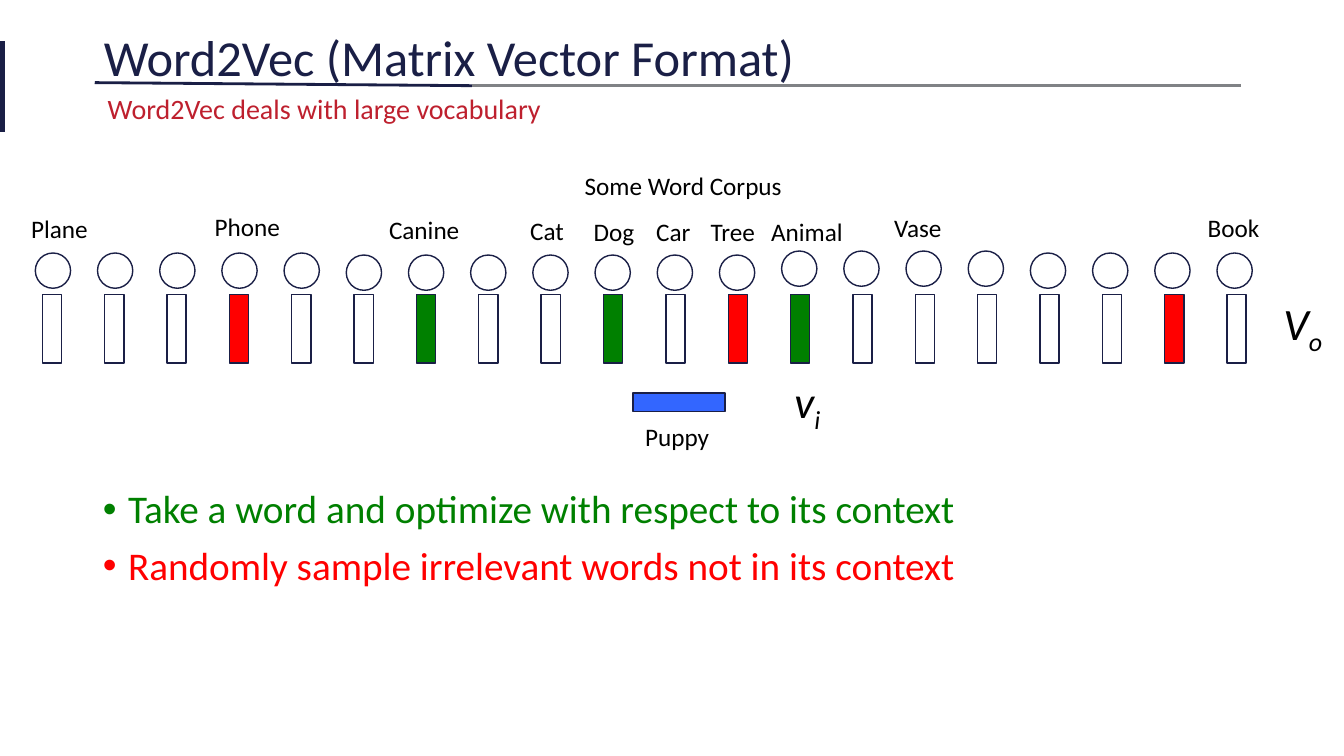
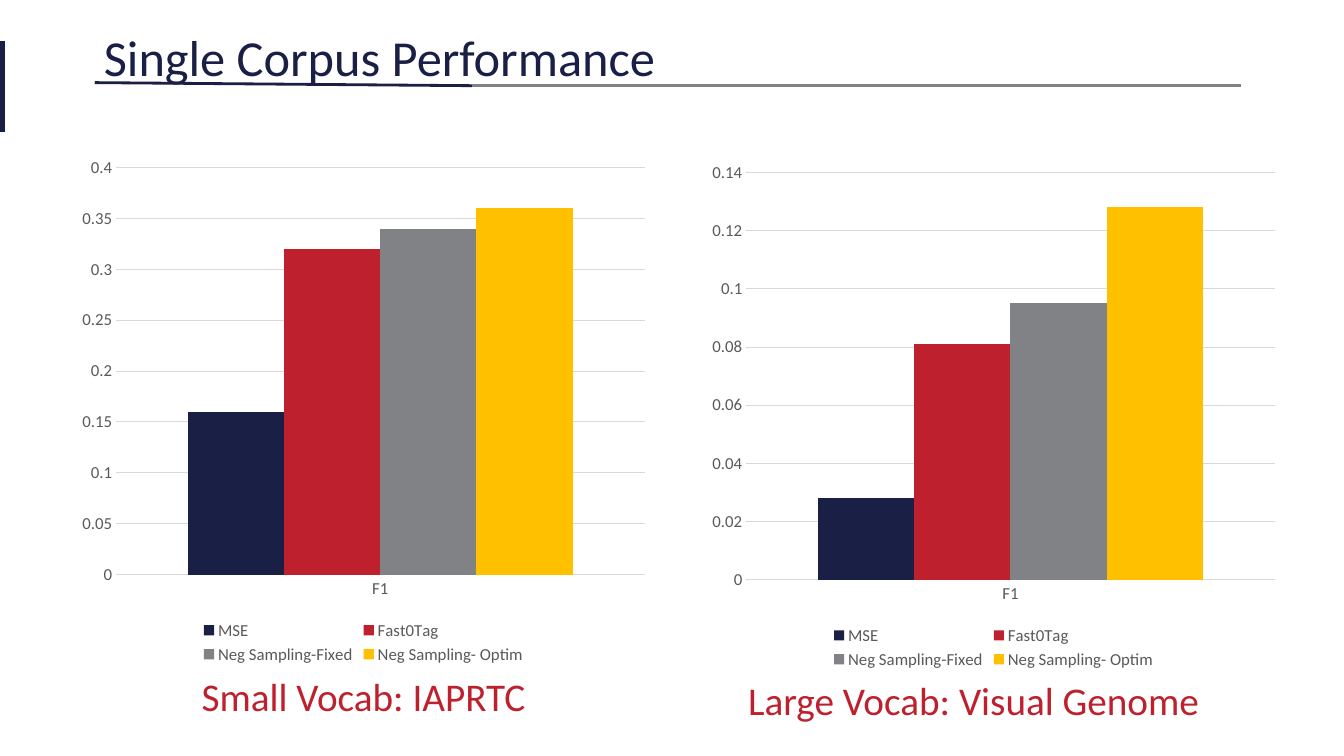
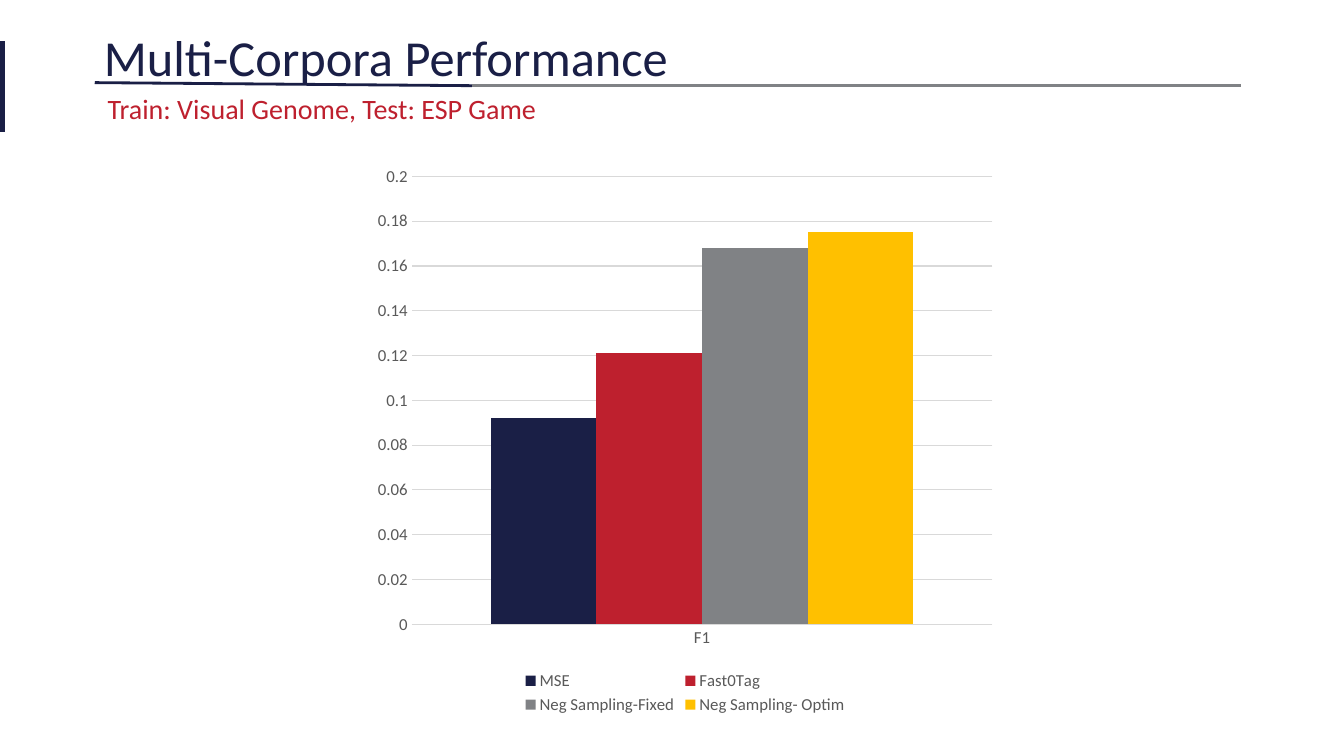
from dataclasses import dataclass

from lxml import etree
from pptx import Presentation
from pptx.chart.data import CategoryChartData
from pptx.dml.color import RGBColor
from pptx.enum.chart import XL_CHART_TYPE, XL_LEGEND_POSITION, XL_TICK_MARK
from pptx.enum.shapes import MSO_CONNECTOR, MSO_SHAPE
from pptx.enum.text import MSO_ANCHOR, MSO_AUTO_SIZE, PP_ALIGN
from pptx.oxml.ns import qn
from pptx.util import Inches, Pt

CLUSTERED = XL_CHART_TYPE.COLUMN_CLUSTERED
LEGEND_BOTTOM = XL_LEGEND_POSITION.BOTTOM
NO_TICK = XL_TICK_MARK.NONE
STRAIGHT = MSO_CONNECTOR.STRAIGHT
ELLIPSE, RECTANGLE = MSO_SHAPE.OVAL, MSO_SHAPE.RECTANGLE
TOP = MSO_ANCHOR.TOP
FIXED, GROW = MSO_AUTO_SIZE.NONE, MSO_AUTO_SIZE.SHAPE_TO_FIT_TEXT
LEFT, CENTER = PP_ALIGN.LEFT, PP_ALIGN.CENTER
TITLE_AND_BODY, TITLE_ONLY = 1, 5


@dataclass(frozen=True)
class Theme:
    font: str = "Calibri"
    navy: str = "1A1F46"
    crimson: str = "BE202E"
    gray: str = "808285"
    gold: str = "FFC000"
    white: str = "FFFFFF"
    black: str = "000000"
    green: str = "008000"
    red: str = "FF0000"
    blue: str = "3366FF"
    axis_text: str = "595959"
    grid: str = "D9D9D9"
    title: float = 36
    symbol: float = 32
    large: float = 28
    subtitle: float = 20
    label: float = 18
    chart: float = 12


THEME = Theme()

WORD_COUNT = 20
CIRCLE_TOPS = [2.51] * 5 + [2.53] * 7 + [2.49] * 4 + [2.51] * 4
CONTEXT_WORDS = {6, 9, 12}
SAMPLED_WORDS = {3, 11, 18}
WORD_LABELS = [  # text, left, top, width
    ("Some Word Corpus", 5.7, 1.64, 2.19),
    ("Plane", 0.21, 2.07, 0.77),
    ("Phone", 2.03, 2.05, 0.86),
    ("Canine", 3.76, 2.08, 0.91),
    ("Cat", 5.16, 2.09, 0.54),
    ("Dog", 5.79, 2.1, 0.61),
    ("Car", 6.41, 2.1, 0.55),
    ("Tree", 6.95, 2.1, 0.66),
    ("Animal", 7.55, 2.1, 0.92),
    ("Vase", 8.77, 2.06, 0.69),
    ("Book", 11.88, 2.06, 0.72),
    ("Puppy", 6.3, 4.13, 0.85),
]
METHODS = [
    ("MSE", THEME.navy),
    ("Fast0Tag", THEME.crimson),
    ("Neg Sampling-Fixed", THEME.gray),
    ("Neg Sampling- Optim", THEME.gold),
]


def rgb(color):
    return RGBColor.from_string(color)


def style_font(font, size, color):
    font.name = THEME.font
    font.size = Pt(size)
    font.color.rgb = rgb(color)


def place(shape, left, top, width, height):
    shape.left, shape.top = Inches(left), Inches(top)
    shape.width, shape.height = Inches(width), Inches(height)


def add_line(slide, start, end, color, weight):
    line = slide.shapes.add_connector(STRAIGHT, *map(Inches, start + end))
    line.line.color.rgb = rgb(color)
    line.line.width = Pt(weight)
    etree.SubElement(line._element.spPr, qn("a:effectLst"))


def add_text(slide, text, area, size, color, align=LEFT, wrap=True):
    box = slide.shapes.add_textbox(*map(Inches, area))
    frame = box.text_frame
    frame.word_wrap = wrap
    frame.auto_size = GROW
    para = frame.paragraphs[0]
    para.text = text
    para.alignment = align
    style_font(para.font, size, color)
    return para


def add_symbol(slide, letter, subscript, area):
    para = add_text(slide, letter, area, THEME.symbol, THEME.black, wrap=False)
    para.font.italic = True
    span = para.add_run()
    span.text = subscript
    span._r.get_or_add_rPr().set("baseline", "-25000")


def add_outlined(slide, preset, area, fill):
    shape = slide.shapes.add_shape(preset, *map(Inches, area))
    shape.shadow.inherit = False
    shape.fill.solid()
    shape.fill.fore_color.rgb = rgb(fill)
    shape.line.color.rgb = rgb(THEME.navy)
    shape.line.width = Pt(1)


def fill_bullets(body, items):
    frame = body.text_frame
    frame.auto_size = FIXED
    for index, (text, color) in enumerate(items):
        para = frame.add_paragraph() if index else frame.paragraphs[0]
        para.text = text
        para.line_spacing = 0.9
        para.space_before = Pt(10 if index else 0)
        properties = para._p.get_or_add_pPr()
        properties.set("marL", str(Inches(0.25)))
        properties.set("indent", str(Inches(-0.25)))
        etree.SubElement(properties, qn("a:buChar")).set("char", "•")
        style_font(para.font, THEME.large, color)


def add_score_chart(slide, area, values, maximum, step):
    data = CategoryChartData()
    data.categories = ["F1"]
    for (name, _), value in zip(METHODS, values):
        data.add_series(name, [value])
    chart = slide.shapes.add_chart(CLUSTERED, *map(Inches, area), data).chart
    style_font(chart.font, THEME.chart, THEME.axis_text)
    chart.has_title = False
    chart.has_legend = True
    chart.legend.position = LEGEND_BOTTOM
    chart.legend.include_in_layout = False

    plot = chart.plots[0]
    plot.gap_width = 150
    plot.overlap = 0
    plot.vary_by_categories = False
    for series, (_, color) in zip(plot.series, METHODS):
        series.format.fill.solid()
        series.format.fill.fore_color.rgb = rgb(color)

    for axis in (chart.category_axis, chart.value_axis):
        axis.major_tick_mark = axis.minor_tick_mark = NO_TICK
    scores = chart.value_axis
    scores.minimum_scale, scores.maximum_scale = 0, maximum
    scores.major_unit = step
    scores.format.line.fill.background()
    for line in (chart.category_axis.format.line, scores.major_gridlines.format.line):
        line.color.rgb = rgb(THEME.grid)
        line.width = Pt(0.75)


def add_page(deck, layout, title, subtitle=None):
    """Add a slide with the shared title, rules and optional subtitle."""
    page = deck.slides.add_slide(deck.slide_layouts[layout])
    heading = page.shapes.title
    place(heading, 0.93, 0.21, 8.84, 0.71)
    heading.text_frame.text = title
    heading.text_frame.vertical_anchor = TOP
    heading.text_frame.auto_size = FIXED
    para = heading.text_frame.paragraphs[0]
    para.alignment = LEFT
    style_font(para.font, THEME.title, THEME.navy)

    add_line(page, (0.94, 0.82), (4.68, 0.85), THEME.navy, 2)
    add_line(page, (4.68, 0.85), (12.31, 0.85), THEME.gray, 2)
    add_line(page, (0.02, 0.41), (0.02, 1.31), THEME.navy, 3.75)
    if subtitle:
        add_text(page, subtitle, (0.97, 0.86, 11.02, 0.44), THEME.subtitle, THEME.crimson)
    return page


def vector_color(index):
    if index in CONTEXT_WORDS:
        return THEME.green
    return THEME.red if index in SAMPLED_WORDS else THEME.white


def build_word_vectors(deck):
    page = add_page(deck, TITLE_AND_BODY, "Word2Vec (Matrix Vector Format)",
                    "Word2Vec deals with large vocabulary")
    circle_pitch = (12.07 - 0.35) / (WORD_COUNT - 1)
    vector_pitch = (12.17 - 0.42) / (WORD_COUNT - 1)
    for index, circle_top in enumerate(CIRCLE_TOPS):
        circle = (0.35 + index * circle_pitch, circle_top, 0.35, 0.35)
        vector = (0.42 + index * vector_pitch, 2.92, 0.19, 0.68)
        add_outlined(page, ELLIPSE, circle, THEME.white)
        add_outlined(page, RECTANGLE, vector, vector_color(index))
    add_outlined(page, RECTANGLE, (6.28, 3.9, 0.91, 0.18), THEME.blue)

    for text, left, top, width in WORD_LABELS:
        add_text(page, text, (left, top, width, 0.4), THEME.label, THEME.black, wrap=False)
    add_symbol(page, "v", "i", (7.78, 3.66, 0.55, 0.64))
    add_symbol(page, "V", "o", (12.63, 2.88, 0.69, 0.64))

    body = page.placeholders[1]
    place(body, 0.92, 4.81, 11.5, 1.95)
    fill_bullets(body, [
        ("Take a word and optimize with respect to its context", THEME.green),
        ("Randomly sample irrelevant words not in its context", THEME.red),
    ])


def build_single_corpus(deck):
    page = add_page(deck, TITLE_ONLY, "Single Corpus Performance")
    add_score_chart(page, (0.7, 1.46, 5.81, 5.17), (0.16, 0.32, 0.34, 0.36), 0.4, 0.05)
    add_score_chart(page, (6.95, 1.51, 5.81, 5.17), (0.028, 0.081, 0.095, 0.128), 0.14, 0.02)
    for caption, area in (
        ("Small Vocab: IAPRTC", (0.6, 6.62, 6.01, 0.57)),
        ("Large Vocab: Visual Genome", (6.85, 6.66, 5.61, 0.57)),
    ):
        add_text(page, caption, area, THEME.large, THEME.crimson, CENTER)


def build_multi_corpora(deck):
    page = add_page(deck, TITLE_ONLY, "Multi-Corpora Performance",
                    "Train: Visual Genome, Test: ESP Game")
    add_score_chart(page, (3.62, 1.54, 6.35, 5.59), (0.092, 0.121, 0.168, 0.175), 0.2, 0.02)


def main():
    deck = Presentation()
    deck.slide_width, deck.slide_height = Inches(13.33), Inches(7.5)
    build_word_vectors(deck)
    build_single_corpus(deck)
    build_multi_corpora(deck)
    deck.save("out.pptx")


if __name__ == "__main__":
    main()
